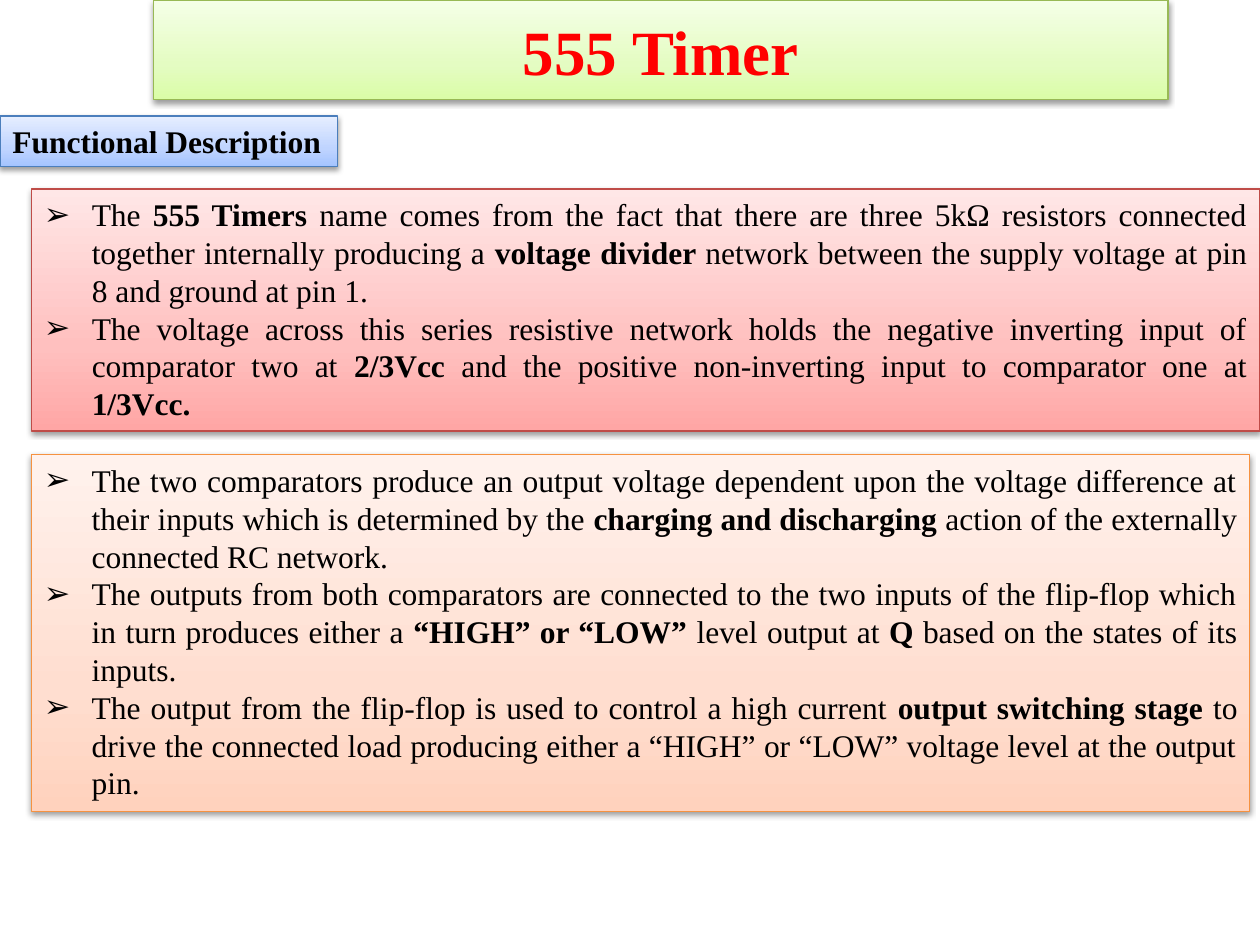
from lxml import etree
from pptx import Presentation
from pptx.dml.color import RGBColor
from pptx.enum.shapes import MSO_SHAPE
from pptx.enum.text import MSO_ANCHOR, MSO_AUTO_SIZE, PP_ALIGN
from pptx.oxml.ns import qn
from pptx.util import Inches, Pt

RECT = MSO_SHAPE.RECTANGLE
TOP, MIDDLE = MSO_ANCHOR.TOP, MSO_ANCHOR.MIDDLE
GROW = MSO_AUTO_SIZE.SHAPE_TO_FIT_TEXT
LEFT, CENTER, JUSTIFY = PP_ALIGN.LEFT, PP_ALIGN.CENTER, PP_ALIGN.JUSTIFY

FACE = "Times New Roman"
STOPS = (0, 35, 100)

# Line colour, then gradient colours from the bottom up
GREEN = ("98B955", "DAFDA7", "E4FCC2", "F5FFE7")
BLUE = ("4B7EBC", "A4C4FF", "BFD4FF", "E6EEFF")
RED = ("BF4C48", "FFA6A5", "FFC0BF", "FFE7E7")
ORANGE = ("F69240", "FFD2BD", "FFDED0", "FFF2ED")

# Double asterisks mark bold words
DIVIDER = [
    "The **555 Timers** name comes from the fact that there are three 5kΩ "
    "resistors connected together internally producing a **voltage divider "
    "**network between the supply voltage at pin 8 and ground at pin 1. ",
    "The voltage across this series resistive network holds the negative "
    "inverting input of comparator two at **2/3Vcc **and the positive "
    "non-inverting input to comparator one at **1/3Vcc.**",
]
OUTPUT = [
    "The two comparators produce an output voltage dependent upon the voltage "
    "difference at their inputs which is determined by the **charging and "
    "discharging **action of the externally connected RC network. ",
    "The outputs from both comparators are connected to the two inputs of the "
    "flip-flop which in turn produces either a **“HIGH” or “LOW” **level "
    "output at **Q **based on the states of its inputs. ",
    "The output from the flip-flop is used to control a high current **output "
    "switching stage **to drive the connected load producing either a “HIGH” "
    "or “LOW” voltage level at the output pin.",
]


def paint(color, text):
    color.rgb = RGBColor.from_string(text)


def add(parent, tag, **attrs):
    node = etree.SubElement(parent, qn(tag))
    for name, value in attrs.items():
        node.set(name, str(value))
    return node


def add_panel(slide, box, theme):
    """Rectangle with a three-stop gradient, thin line and soft shadow."""
    shape = slide.shapes.add_shape(RECT, *map(Inches, box))
    edge, *shades = theme
    paint(shape.line.color, edge)
    shape.line.width = Pt(0.75)
    shape.shadow.inherit = False

    # Gradient running upward
    shape.fill.gradient()
    shape.fill.gradient_angle = 90
    props = shape._element.spPr
    stops = props.find(".//" + qn("a:gsLst"))
    for old in list(stops):
        stops.remove(old)
    for place, shade in zip(STOPS, shades):
        stop = add(stops, "a:gs", pos=place * 1000)
        add(stop, "a:srgbClr", val=shade)

    # Shadow straight below
    glow = add(props.find(qn("a:effectLst")), "a:outerShdw", blurRad=Pt(3.1),
               dist=Pt(1.6), dir=90 * 60000, rotWithShape=0)
    tint = add(glow, "a:srgbClr", val="000000")
    add(tint, "a:alpha", val=38000)
    return shape


def set_frame(shape, **values):
    for name, value in values.items():
        setattr(shape.text_frame, name, value)


def write(para, text, align, size=18, color="000000"):
    para.alignment = align
    for index, part in enumerate(text.split("**")):
        if not part:
            continue
        run = para.add_run()
        run.text = part
        style = {"name": FACE, "size": Pt(size), "bold": index % 2 == 1}
        for name, value in style.items():
            setattr(run.font, name, value)
        paint(run.font.color, color)


def add_title(slide, box):
    shape = add_panel(slide, box, GREEN)
    set_frame(shape, word_wrap=True, vertical_anchor=MIDDLE)
    write(shape.text_frame.paragraphs[0], "**555 Timer**", CENTER, 36, "FF0000")


def add_label(slide, box):
    shape = add_panel(slide, box, BLUE)
    set_frame(shape, word_wrap=False, vertical_anchor=TOP, auto_size=GROW)
    write(shape.text_frame.paragraphs[0], "**Functional Description**", LEFT)


def add_list(slide, box, theme, items):
    shape = add_panel(slide, box, theme)
    set_frame(shape, word_wrap=True, vertical_anchor=TOP, auto_size=GROW)
    frame = shape.text_frame
    for index, item in enumerate(items):
        para = frame.add_paragraph() if index else frame.paragraphs[0]
        props = para._p.get_or_add_pPr()
        props.set("marL", str(Inches(0.38)))
        props.set("indent", str(Inches(-0.38)))
        add(props, "a:buFont", typeface="Arial")
        add(props, "a:buChar", char="➢")
        write(para, item, JUSTIFY)


def main():
    deck = Presentation()
    deck.slide_width, deck.slide_height = Inches(10), Inches(7.5)
    slide = deck.slides.add_slide(deck.slide_layouts[6])
    add_title(slide, (1.22, 0, 8.05, 0.79))
    add_label(slide, (0, 0.92, 2.68, 0.4))
    add_list(slide, (0.25, 1.5, 9.75, 1.92), RED, DIVIDER)
    add_list(slide, (0.25, 3.61, 9.67, 2.83), ORANGE, OUTPUT)
    deck.save("out.pptx")


if __name__ == "__main__":
    main()
